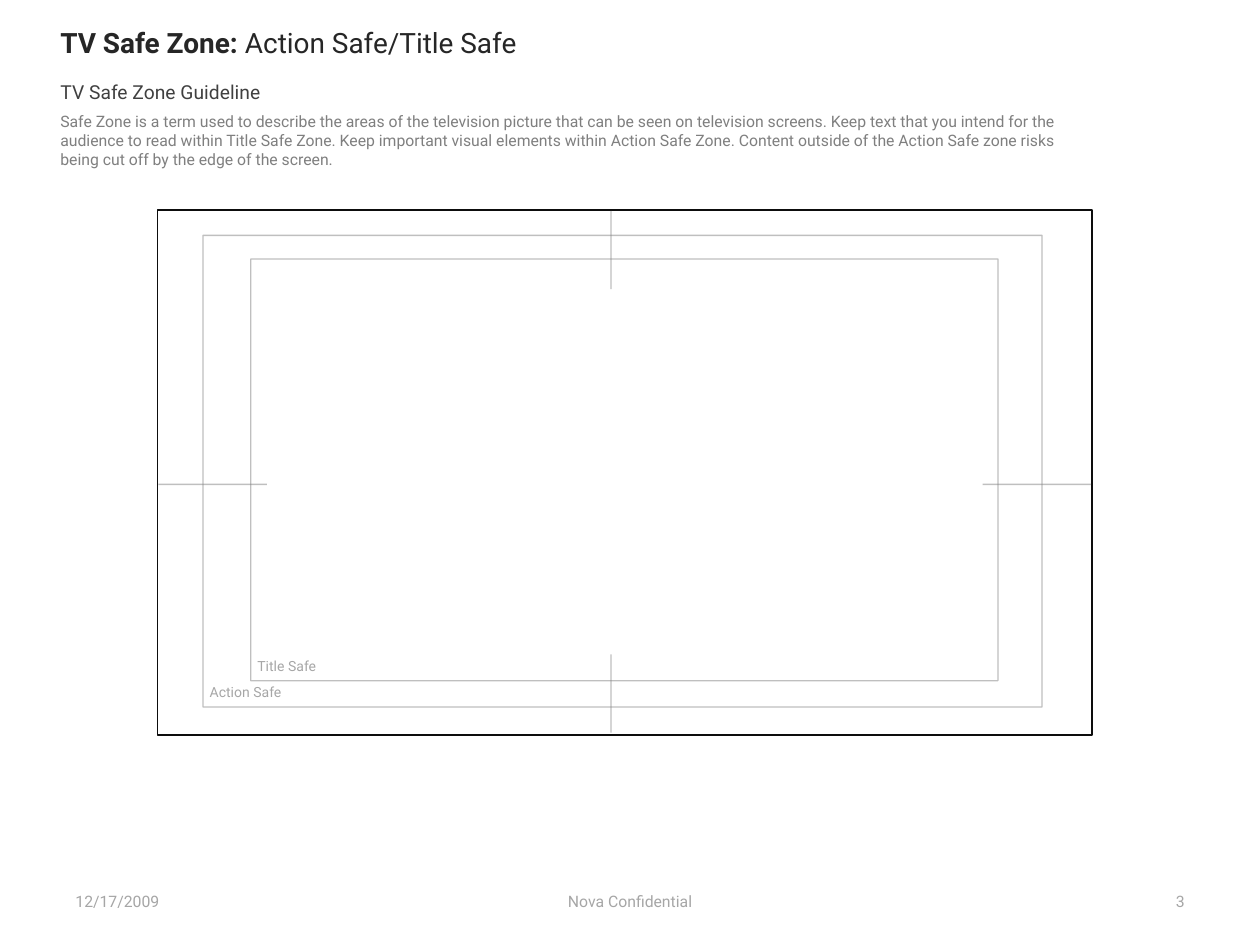
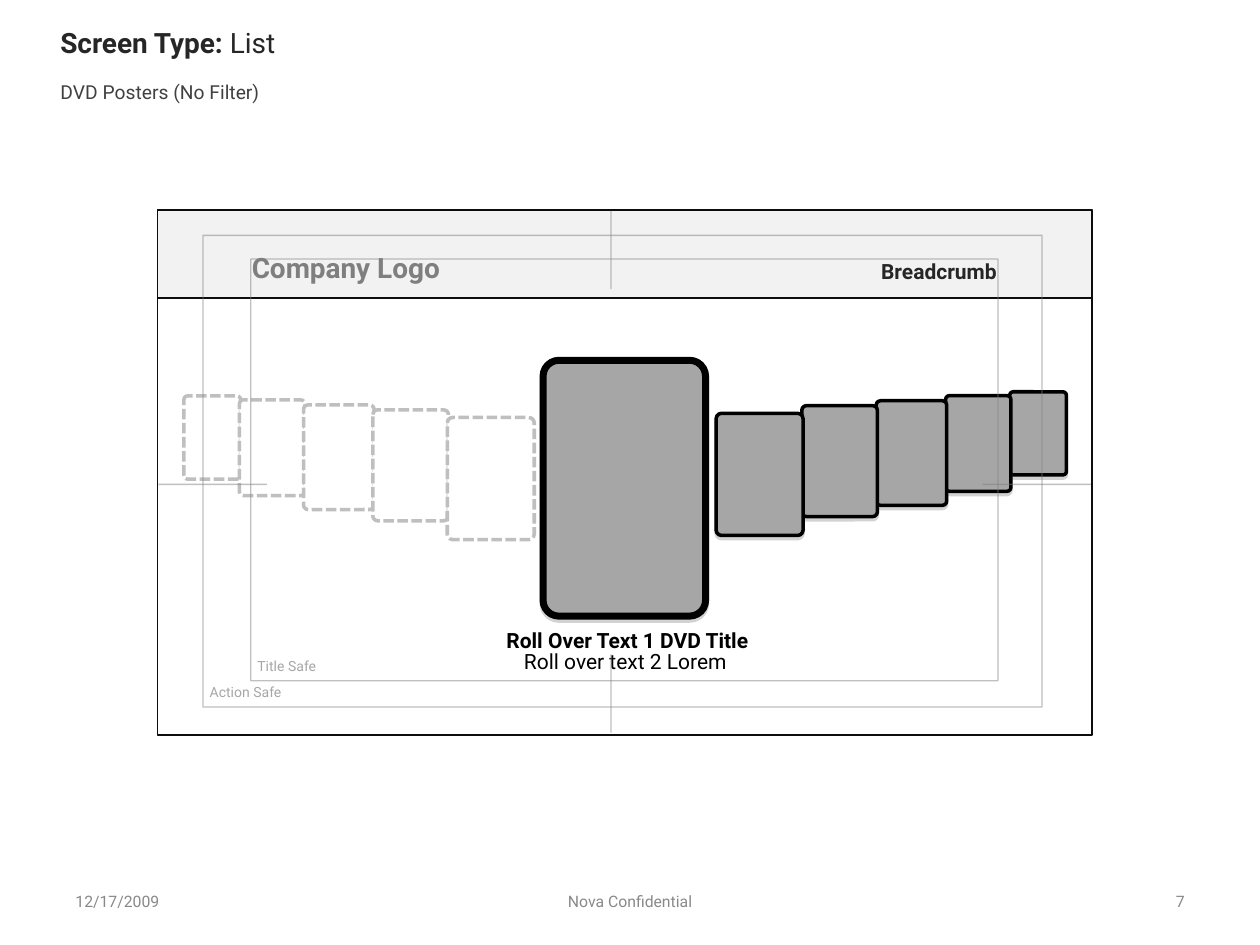
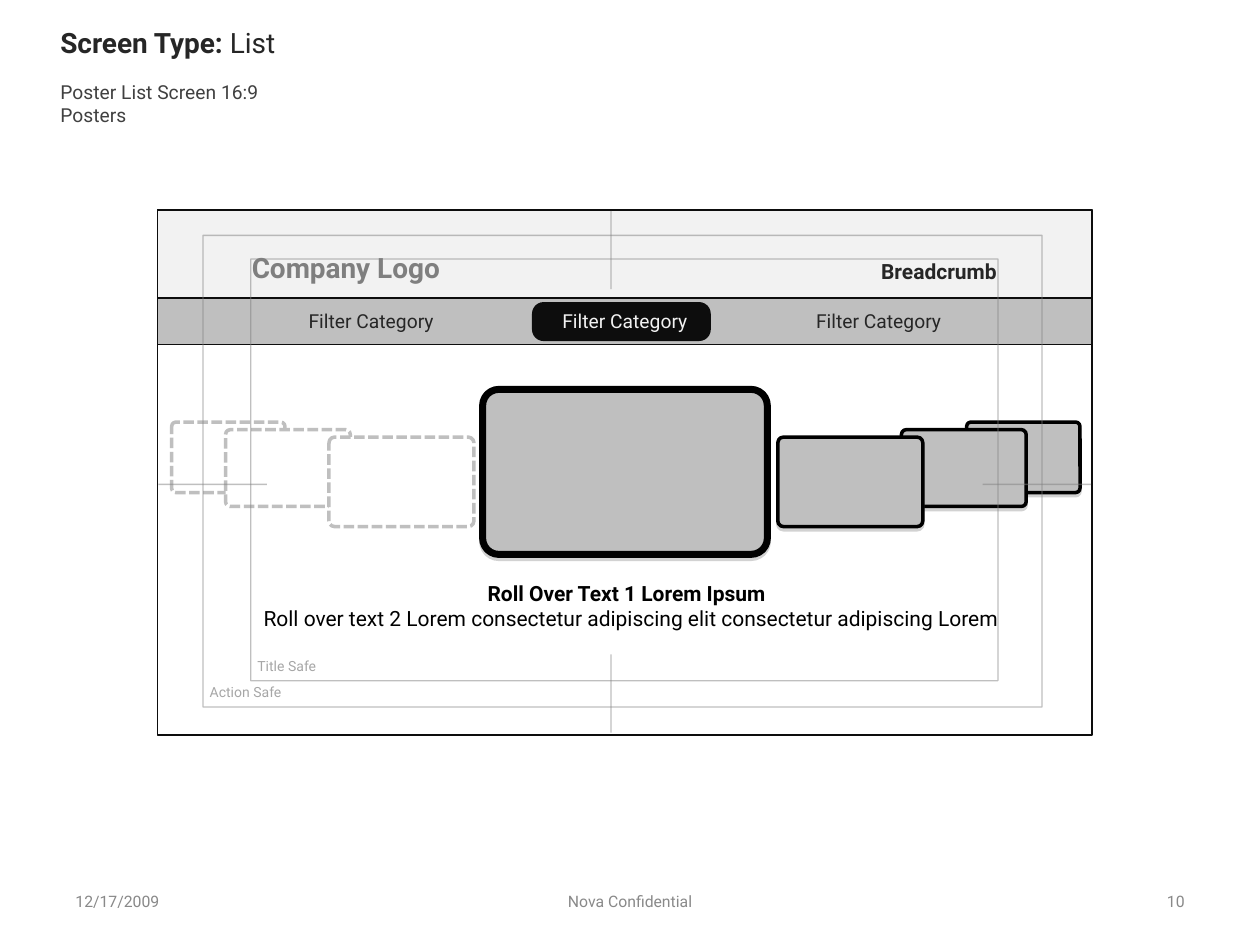
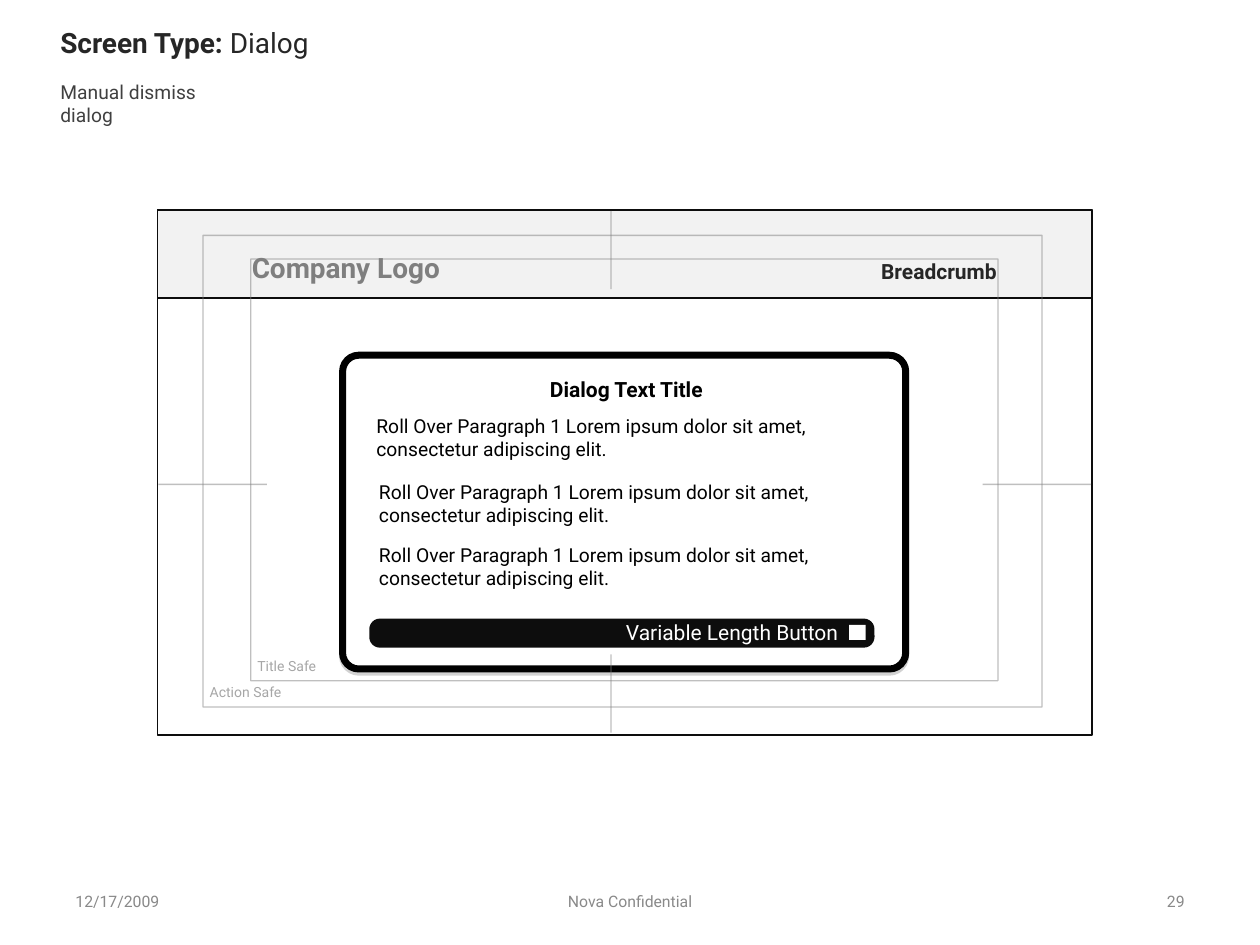
"""Builds four wireframe slides for a TV screen design guide."""
from dataclasses import dataclass

from lxml.etree import SubElement
from pptx import Presentation
from pptx.dml.color import RGBColor
from pptx.enum.dml import MSO_LINE
from pptx.enum.shapes import MSO_CONNECTOR, MSO_SHAPE
from pptx.enum.text import MSO_ANCHOR as Anchor, PP_ALIGN as Align
from pptx.oxml.ns import qn
from pptx.util import Pt


@dataclass(frozen=True)
class Theme:
    """Colours, type sizes and line widths of the whole deck."""
    font: str = "Roboto"
    black: str = "000000"
    ink: str = "0D0D0D"
    heading: str = "262626"
    subheading: str = "404040"
    body: str = "7F7F7F"
    guide: str = "808080"
    footer: str = "898989"
    poster: str = "A6A6A6"
    label: str = "A6A6A6"
    bar: str = "BFBFBF"
    band: str = "F2F2F2"
    white: str = "FFFFFF"
    title_size: float = 16
    text_size: float = 12
    subtitle_size: float = 11
    note_size: float = 9
    label_size: float = 8
    hairline: float = 0.75
    outline: float = 1
    poster_line: float = 2
    focus_line: float = 4


@dataclass(frozen=True)
class Box:
    """A rectangle in points."""
    left: float
    top: float
    width: float
    height: float

    @property
    def right(self):
        """Right edge."""
        return self.left + self.width

    @property
    def bottom(self):
        """Bottom edge."""
        return self.top + self.height

    def inside(self, left, top, width, height):
        """Box placed relative to this one's top left corner."""
        return Box(self.left + left, self.top + top, width, height)

    def lengths(self):
        """Left, top, width and height as slide lengths."""
        return [Pt(n) for n in (self.left, self.top, self.width, self.height)]


THEME = Theme()
PAGE = Box(0, 0, 720, 540)
SCREEN = Box(90, 120, 534, 300)

# Width, height, top on the screen, overlap with the poster nearer the centre.
DVD_POSTERS = [(49.7, 69.8, 116.2, 0), (43.2, 63.4, 111.8, 0.7),
               (40.3, 59.8, 109, 0.7), (37.4, 54.7, 106.1, 0.7),
               (32.4, 47.5, 103.9, 0.7)]
WIDE_POSTERS = [(82.8, 51.1, 129.8, 0), (71.3, 43.9, 125.5, 12.2),
                (64.8, 40.3, 121.2, 34)]


def add_text(shapes, box, text, size, color, bold=False,
             align=Align.LEFT, anchor=Anchor.TOP):
    """Add a wrapped one-paragraph text box and return its frame."""
    text_frame = shapes.add_textbox(*box.lengths()).text_frame
    text_frame.word_wrap = True
    text_frame.vertical_anchor = anchor
    paragraph = text_frame.paragraphs[0]
    paragraph.text = text
    paragraph.alignment = align
    style_run(paragraph.runs[0], size, color, bold)
    return text_frame


def style_run(run, size, color, bold=False):
    """Set the font of a run."""
    run.font.name = THEME.font
    run.font.size = Pt(size)
    run.font.bold = bold
    run.font.color.rgb = RGBColor.from_string(color)


def add_box(shapes, box, fill=None, line=None, width=THEME.outline, radius=None):
    """Add a rectangle, rounded when a radius is given."""
    kind = MSO_SHAPE.RECTANGLE if radius is None else MSO_SHAPE.ROUNDED_RECTANGLE
    shape = shapes.add_shape(kind, *box.lengths())
    shape.shadow.inherit = False
    if radius is not None:
        shape.adjustments[0] = radius
    if fill:
        shape.fill.solid()
        shape.fill.fore_color.rgb = RGBColor.from_string(fill)
    else:
        shape.fill.background()
    if line:
        shape.line.color.rgb = RGBColor.from_string(line)
        shape.line.width = Pt(width)
    else:
        shape.line.fill.background()
    return shape


def make_line_translucent(shape):
    """Give a shape's line half opacity."""
    line = shape.element.spPr.find(qn("a:ln"))
    color = line.find(qn("a:solidFill")).find(qn("a:srgbClr"))
    SubElement(color, qn("a:alpha")).set("val", "50000")


def add_drop_shadow(shape):
    """Add a thin hard shadow straight below a shape."""
    effects = shape.element.spPr.find(qn("a:effectLst"))
    shadow = SubElement(effects, qn("a:outerShdw"), blurRad="0",
                        dist=str(int(Pt(1.8))), dir="5400000",
                        algn="ctr", rotWithShape="0")
    color = SubElement(shadow, qn("a:srgbClr"), val=THEME.guide)
    SubElement(color, qn("a:alpha"), val="35000")


def add_tick(shapes, left, top, right, bottom):
    """Add one translucent centre mark."""
    tick = shapes.add_connector(MSO_CONNECTOR.STRAIGHT,
                                Pt(left), Pt(top), Pt(right), Pt(bottom))
    tick.line.color.rgb = RGBColor.from_string(THEME.guide)
    tick.line.width = Pt(THEME.hairline)
    SubElement(tick.element.spPr, qn("a:effectLst"))
    make_line_translucent(tick)


def add_safe_zones(slide, screen):
    """Draw the screen outline, both safe zones and the centre marks."""
    shapes = slide.shapes.add_group_shape().shapes
    add_box(shapes, screen, line=THEME.ink)
    zones = [("Action Safe", screen.inside(26, 14.5, 479.5, 269.5)),
             ("Title Safe", screen.inside(53.3, 28, 427, 241))]
    for name, zone in zones:
        outline = add_box(shapes, zone, line=THEME.guide, width=THEME.hairline)
        make_line_translucent(outline)
        add_text(shapes, Box(zone.left - 3.3, zone.bottom - 18.4, 77, 19.4), name,
                 THEME.label_size, THEME.label, anchor=Anchor.MIDDLE)

    middle_x, middle_y = screen.left + 259.2, screen.top + 156.8
    for left in (screen.left + 0.5, screen.right - 62.5):
        add_tick(shapes, left, middle_y, left + 62, middle_y)
    for top in (screen.top + 0.5, screen.bottom - 46):
        add_tick(shapes, middle_x, top, middle_x, top + 44.7)


def add_heading(slide, page, topic, detail, subtitle, subtitle_width):
    """Write the two-weight title and the subtitle below it."""
    text_frame = add_text(slide.shapes, page.inside(27.4, 18, 648, 31.7), topic + " ",
                          THEME.title_size, THEME.heading, bold=True,
                          anchor=Anchor.MIDDLE)
    text_frame.margin_top = 0
    text_frame.margin_bottom = Pt(18.8)
    run = text_frame.paragraphs[0].add_run()
    run.text = detail
    style_run(run, THEME.title_size, THEME.heading)
    add_text(slide.shapes, page.inside(27.4, 42.5, subtitle_width, 20.9), subtitle,
             THEME.subtitle_size, THEME.subheading)


def add_footer(slide, page, number, color):
    """Write date, notice and slide number along the bottom."""
    parts = [(36, 168, "12/17/2009", Align.LEFT),
             (246, 228, "Nova Confidential", Align.CENTER),
             (516, 168, str(number), Align.RIGHT)]
    for left, width, text, align in parts:
        add_text(slide.shapes, page.inside(left, 500.4, width, 28.8), text,
                 THEME.note_size, color, align=align, anchor=Anchor.MIDDLE)


def add_screen_header(slide, screen):
    """Draw the band with the company name and the breadcrumb."""
    add_box(slide.shapes, screen.inside(0, 0, screen.width, 50.4),
            THEME.band, THEME.ink)
    add_text(slide.shapes, screen.inside(46.8, 19.7, 124, 26.6), "Company Logo",
             THEME.title_size, THEME.body, bold=True)
    add_text(slide.shapes, screen.inside(403.2, 24, 83.5, 21.6), "Breadcrumb",
             THEME.text_size, THEME.heading, bold=True, align=Align.RIGHT)


def add_filter_bar(slide, bar):
    """Draw three filter categories, the middle one selected."""
    add_box(slide.shapes, bar, THEME.bar, THEME.ink)
    for index in range(3):
        label = bar.inside(77.5 + 145 * index, 3, 89.3, 20.2)
        selected = index == 1
        if selected:
            add_box(slide.shapes, label.inside(-8.5, -0.8, 102.2, 22.3),
                    THEME.ink, radius=0.299)
        add_text(slide.shapes, label, "Filter Category", THEME.subtitle_size,
                 THEME.band if selected else THEME.heading, align=Align.CENTER)


def add_carousel(slide, screen, focus, posters, fill, left_drop=0):
    """Draw the focused poster, with dashed ones left and solid ones right."""
    left_edge, right_edge = focus.left - 5, focus.right + 6
    dashed, solid = [], []
    for width, height, top, overlap in posters:
        left_edge += overlap - width
        right_edge -= overlap
        top += screen.top
        dashed.append(Box(left_edge, top + left_drop, width, height))
        solid.append(Box(right_edge, top, width, height))
        right_edge += width

    for box in reversed(dashed):
        poster = add_box(slide.shapes, box, THEME.white, THEME.bar,
                         THEME.poster_line, radius=0.062)
        poster.line.dash_style = MSO_LINE.SQUARE_DOT
    for box in reversed(solid):
        add_drop_shadow(add_box(slide.shapes, box, fill, THEME.black,
                                THEME.poster_line, radius=0.062))
    add_drop_shadow(add_box(slide.shapes, focus, fill, THEME.black,
                            THEME.focus_line, radius=0.098))


def add_rollover(slide, title_box, title, detail_box, detail):
    """Write the bold and the plain line under the focused poster."""
    for box, text, bold in ((title_box, title, True), (detail_box, detail, False)):
        add_text(slide.shapes, box, text, THEME.text_size, THEME.black,
                 bold=bold, align=Align.CENTER)


def add_dialog(slide, dialog):
    """Draw the dialog with its title, paragraphs and button."""
    shapes = slide.shapes
    add_drop_shadow(add_box(shapes, dialog, THEME.white, THEME.black,
                            THEME.focus_line, radius=0.052))
    add_text(shapes, dialog.inside(108.8, 8.7, 106.6, 21.6), "Dialog Text Title",
             THEME.text_size, THEME.black, bold=True, align=Align.CENTER)
    for left, top in ((12.2, 30.3), (13.7, 67.7), (13.7, 103.7)):
        add_text(shapes, dialog.inside(left, top, 296, 33.8),
                 "Roll Over Paragraph 1 Lorem ipsum dolor sit amet, "
                 "consectetur adipiscing elit.", THEME.subtitle_size, THEME.black)
    button = dialog.inside(15.2, 150.5, 288.7, 16.6)
    add_box(shapes, button, THEME.ink, radius=0.366)
    add_text(shapes, button.inside(139.6, -2.9, 139, 21.6), "Variable Length Button",
             THEME.text_size, THEME.white)
    add_box(shapes, button.inside(274.3, 3.6, 9.4, 8.6), THEME.white)


def build_safe_zone_slide(slide):
    """Explain the safe zones."""
    add_heading(slide, PAGE, "TV Safe Zone:", "Action Safe/Title Safe",
                "TV Safe Zone Guideline", 135.4)
    add_text(slide.shapes, PAGE.inside(27.4, 60.5, 592.6, 43.2),
             "Safe Zone is a term used to describe the areas of the television "
             "picture that can be seen on television screens. Keep text that you "
             "intend for the audience to read within Title Safe Zone. Keep "
             "important visual elements within Action Safe Zone. Content outside "
             "of the Action Safe zone risks being cut off by the edge of the "
             "screen.", THEME.note_size, THEME.body)
    add_footer(slide, PAGE, 3, THEME.label)
    add_safe_zones(slide, SCREEN)


def build_dvd_slide(slide):
    """Show a list of upright posters without a filter."""
    add_heading(slide, PAGE, "Screen Type:", "List", "DVD Posters (No Filter)", 128.2)
    add_footer(slide, PAGE, 7, THEME.footer)
    add_carousel(slide, SCREEN, SCREEN.inside(220.3, 85.9, 92.9, 146.2),
                 DVD_POSTERS, THEME.poster, left_drop=2.4)
    add_screen_header(slide, SCREEN)
    add_rollover(slide,
                 SCREEN.inside(187.9, 235, 161.3, 21.6), "Roll Over Text 1 DVD Title",
                 SCREEN.inside(199.4, 247.2, 136, 21.6), "Roll over text 2 Lorem")
    add_safe_zones(slide, SCREEN)


def build_wide_slide(slide):
    """Show a list of wide posters with a filter bar."""
    add_heading(slide, PAGE, "Screen Type:", "List",
                "Poster List Screen 16:9 Posters", 167)
    add_footer(slide, PAGE, 10, THEME.footer)
    add_carousel(slide, SCREEN, SCREEN.inside(185.8, 102.5, 162.7, 94.3),
                 WIDE_POSTERS, THEME.bar)
    add_screen_header(slide, SCREEN)
    add_filter_bar(slide, SCREEN.inside(0, 50.4, SCREEN.width, 26.6))
    add_rollover(slide,
                 SCREEN.inside(177, 208.3, 182.2, 21.6), "Roll Over Text 1 Lorem Ipsum",
                 SCREEN.inside(49, 222.7, 443.5, 21.6),
                 "Roll over text 2 Lorem consectetur adipiscing elit "
                 "consectetur adipiscing Lorem")
    add_safe_zones(slide, SCREEN)


def build_dialog_slide(slide):
    """Show a dialog that the viewer dismisses."""
    add_heading(slide, PAGE, "Screen Type:", "Dialog", "Manual dismiss dialog", 121.7)
    add_footer(slide, PAGE, 29, THEME.footer)
    add_screen_header(slide, SCREEN)
    add_dialog(slide, SCREEN.inside(105.8, 83, 321.8, 179.3))
    add_safe_zones(slide, SCREEN)


def main():
    """Build and save the presentation."""
    presentation = Presentation()
    presentation.slide_width = Pt(PAGE.width)
    presentation.slide_height = Pt(PAGE.height)
    blank = presentation.slide_layouts[6]
    for build in (build_safe_zone_slide, build_dvd_slide,
                  build_wide_slide, build_dialog_slide):
        build(presentation.slides.add_slide(blank))
    presentation.save("out.pptx")


main()
